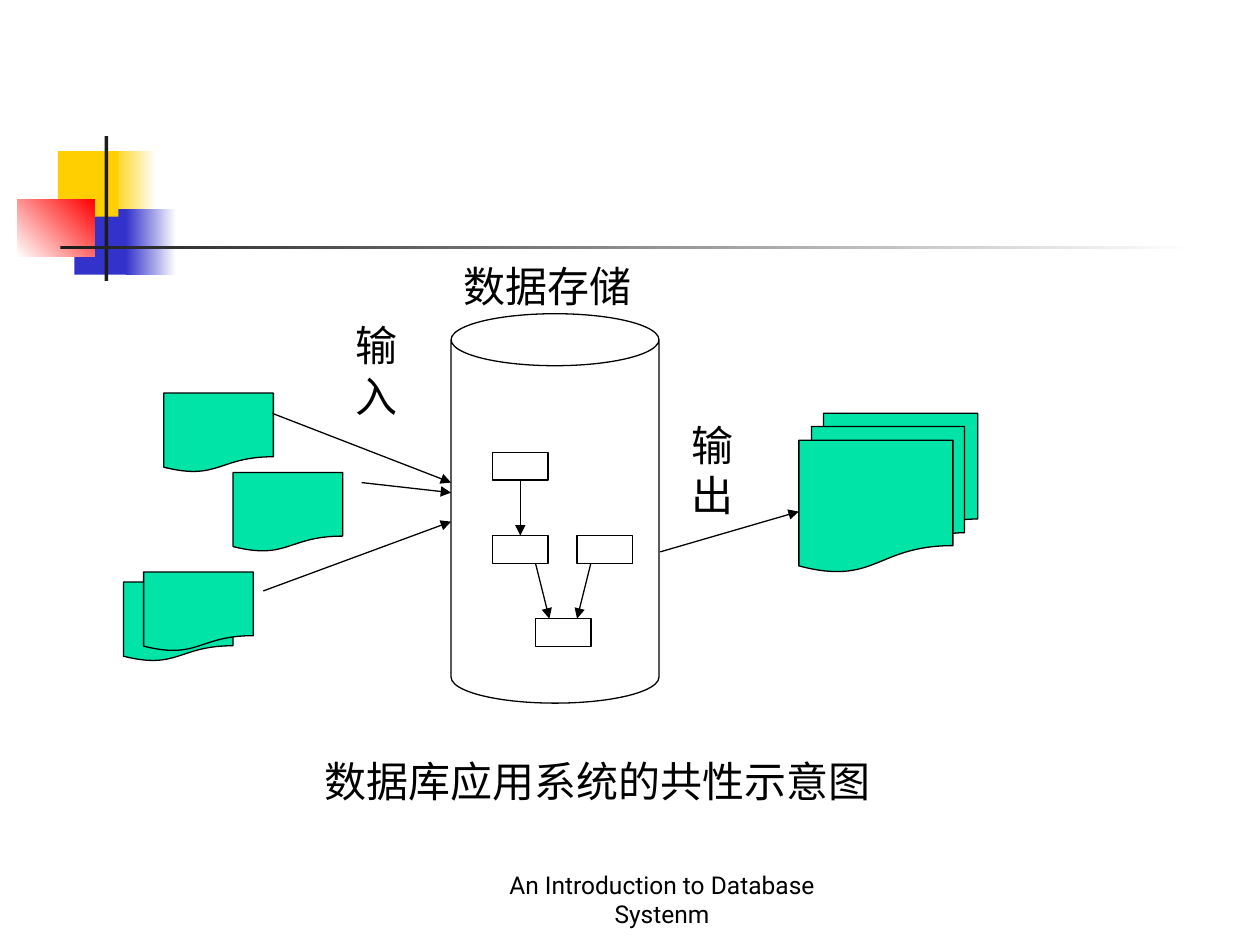
from lxml import etree
from pptx import Presentation
from pptx.dml.color import RGBColor
from pptx.enum.shapes import MSO_CONNECTOR, MSO_SHAPE
from pptx.enum.text import MSO_ANCHOR, PP_ALIGN
from pptx.oxml.ns import qn
from pptx.util import Inches, Pt

RECT, CAN = MSO_SHAPE.RECTANGLE, MSO_SHAPE.CAN
DOC, DOCS = MSO_SHAPE.FLOWCHART_DOCUMENT, MSO_SHAPE.FLOWCHART_MULTIDOCUMENT
STRAIGHT = MSO_CONNECTOR.STRAIGHT
LEFT, CENTER = PP_ALIGN.LEFT, PP_ALIGN.CENTER
TOP, BOTTOM = MSO_ANCHOR.TOP, MSO_ANCHOR.BOTTOM

FONT = "Roboto"
COLORS = {
    "white": "FFFFFF", "black": "000000", "dark": "1C1C1C", "green": "00E4A8",
    "gold": "FFCF01", "blue": "3333CC", "red": "FF0000",
}

# left, top, width, height, fill colours (two make a gradient), angle
DECOR = [
    (0.88, 1.2, 0.36, 0.52, ("gold", "white"), 0),
    (0.59, 1.66, 0.46, 0.52, ("blue",), 0),
    (0.46, 1.2, 0.48, 0.52, ("gold",), 0),
    (1, 1.66, 0.4, 0.52, ("blue", "white"), 0),
    (0.14, 1.58, 0.61, 0.46, ("white", "red"), 45),
    (0.83, 1.08, 0.03, 1.15, ("dark",), 0),
    (0.48, 1.95, 9, 0.03, ("dark", "white"), 0),
]
INPUTS = [(1.3, 3.12), (1.85, 3.75), (0.98, 4.62), (1.14, 4.54)]
INPUT_SIZE = (0.87, 0.63)
STORE = (3.58, 2.49, 1.65, 3.09)
OUTPUT = (6.34, 3.28, 1.42, 1.26)
NODES = [(3.91, 3.59), (3.91, 4.25), (4.58, 4.25), (4.25, 4.91)]
NODE_SIZE = (0.44, 0.22)
ARROWS = [
    (4.25, 4.47, 4.36, 4.91),
    (4.69, 4.47, 4.58, 4.91),
    (5.24, 4.38, 6.34, 4.06),
    (2.16, 3.28, 3.58, 3.83),
    (2.87, 3.83, 3.58, 3.91),
    (2.09, 4.69, 3.58, 4.14),
]
# text, left, top, width, height, size, alignment, anchor
LABELS = [
    ("An Introduction to Database Systenm", 3.67, 6.92, 3.17, 0.5, 14, CENTER, BOTTOM),
    ("数据存储", 3.58, 2.02, 1.57, 0.5, 24, LEFT, TOP),
    ("输出", 5.39, 3.28, 0.55, 0.9, 24, LEFT, TOP),
    ("输入", 2.72, 2.49, 0.55, 0.9, 24, LEFT, TOP),
    ("数据库应用系统的共性示意图", 2.48, 5.95, 5.75, 0.5, 24, LEFT, TOP),
]


def color(name):
    return RGBColor.from_string(COLORS[name])


def add_shape(slide, kind, box, fills, angle=0, outline=True):
    shape = slide.shapes.add_shape(kind, *map(Inches, box))
    shape.shadow.inherit = False
    if len(fills) == 1:
        shape.fill.solid()
        shape.fill.fore_color.rgb = color(fills[0])
    else:
        shape.fill.gradient()
        shape.fill.gradient_angle = angle
        for stop, name in zip(shape.fill.gradient_stops, fills):
            stop.color.rgb = color(name)
    if outline:
        shape.line.color.rgb = color("black")
        shape.line.width = Pt(0.75)
    else:
        shape.line.fill.background()
    return shape


def add_arrow(slide, ends):
    arrow = slide.shapes.add_connector(STRAIGHT, *map(Inches, ends))
    arrow.line.color.rgb = color("black")
    arrow.line.width = Pt(0.75)
    etree.SubElement(arrow.line._get_or_add_ln(), qn("a:tailEnd"), type="triangle")
    etree.SubElement(arrow._element.spPr, qn("a:effectLst"))
    return arrow


def add_label(slide, text, box, size, align, anchor):
    frame = slide.shapes.add_textbox(*map(Inches, box)).text_frame
    frame.word_wrap = True
    frame.vertical_anchor = anchor
    frame.text = text
    para = frame.paragraphs[0]
    para.alignment = align
    font = para.runs[0].font
    font.name, font.size = FONT, Pt(size)
    font.color.rgb = color("black")


def main():
    deck = Presentation()
    deck.slide_width, deck.slide_height = Inches(10), Inches(7.5)
    slide = deck.slides.add_slide(deck.slide_layouts[6])

    for *box, fills, angle in DECOR:
        add_shape(slide, RECT, box, fills, angle, outline=False)
    for spot in INPUTS:
        add_shape(slide, DOC, spot + INPUT_SIZE, ("green",))
    add_shape(slide, CAN, STORE, ("white",))
    nodes = [add_shape(slide, RECT, spot + NODE_SIZE, ("white",)) for spot in NODES]
    add_shape(slide, DOCS, OUTPUT, ("green",))

    link = add_arrow(slide, (4.13, 3.81, 4.13, 4.25))
    link.begin_connect(nodes[0], 2)
    link.end_connect(nodes[1], 0)
    for ends in ARROWS:
        add_arrow(slide, ends)
    for text, *box, size, align, anchor in LABELS:
        add_label(slide, text, box, size, align, anchor)

    deck.save("out.pptx")


if __name__ == "__main__":
    main()
